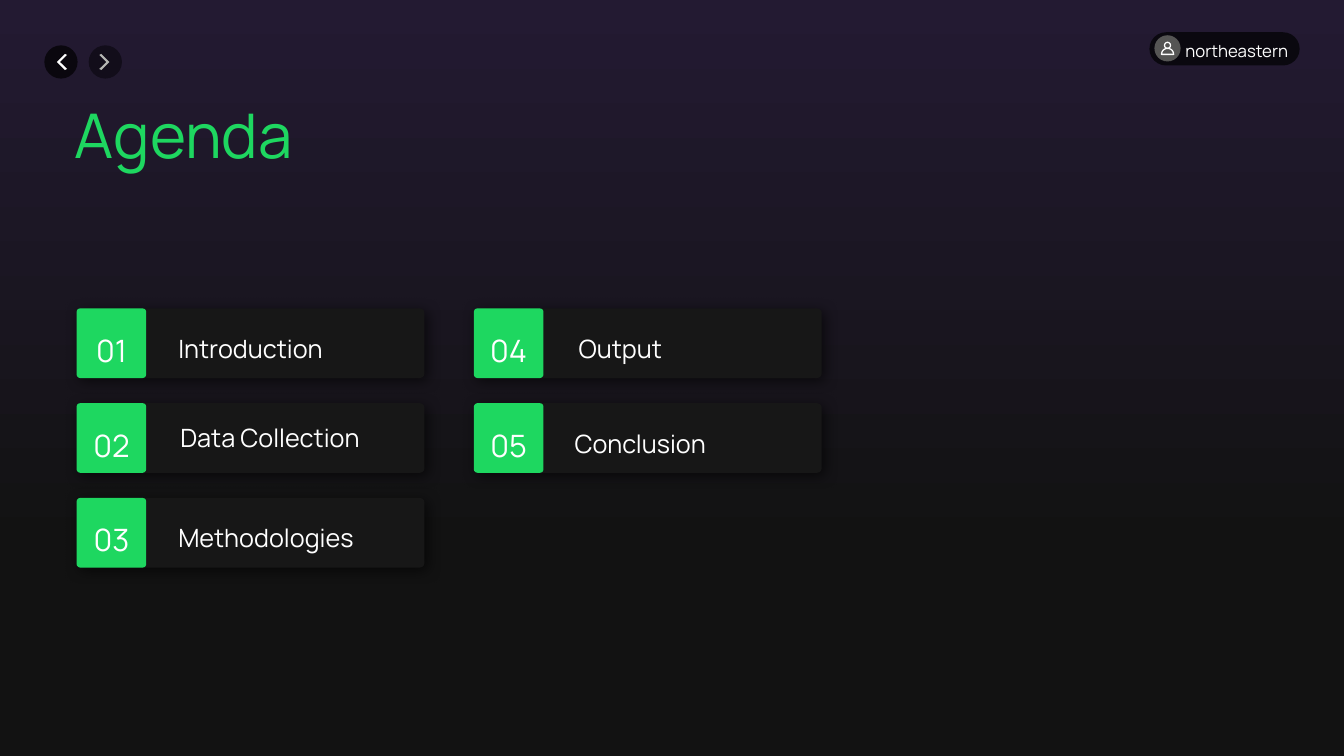
from dataclasses import dataclass
from math import cos, pi, sin

from lxml.etree import SubElement
from pptx import Presentation
from pptx.dml.color import RGBColor
from pptx.enum.shapes import MSO_SHAPE as Preset
from pptx.enum.text import MSO_ANCHOR as Anchor, MSO_AUTO_SIZE as AutoSize, PP_ALIGN as Align
from pptx.oxml.ns import qn
from pptx.util import Inches, Pt


@dataclass(frozen=True)
class Theme:
    font: str = "Manrope"
    background_top: str = "231A32"
    background_bottom: str = "121212"
    accent: str = "1ED760"
    card: str = "171717"
    pill: str = "0A080F"
    avatar: str = "555554"
    back_button: str = "0A070E"
    next_button: str = "120D1A"
    next_arrow: str = "B4B5B2"
    white: str = "FFFFFF"
    title_size: int = 44
    number_size: int = 22
    label_size: int = 18
    account_size: int = 12


THEME = Theme()

CARD_WIDTH, CARD_HEIGHT = 3.45, 0.69
COLUMN_STEP, ROW_STEP = 3.94, 0.94
ROWS = 3
# Each entry: label, and its offset from the card's left and top
AGENDA = [
    ("Introduction", 0.91, 0.2),
    ("Data Collection", 0.93, 0.14),
    ("Methodologies", 0.91, 0.19),
    ("Output", 0.94, 0.2),
    ("Conclusion", 0.9, 0.2),
]


def rgb(color):
    return RGBColor.from_string(color)


def fill_plain(shape, color):
    shape.shadow.inherit = False
    shape.fill.solid()
    shape.fill.fore_color.rgb = rgb(color)
    shape.line.fill.background()


def outline_only(shape, color, width):
    shape.shadow.inherit = False
    shape.fill.background()
    shape.line.color.rgb = rgb(color)
    shape.line.width = Pt(width)


def add_preset(shapes, preset, box, color, rounding=None):
    shape = shapes.add_shape(preset, *map(Inches, box))
    if rounding is not None:
        shape.adjustments[0] = rounding
    fill_plain(shape, color)
    return shape


def add_outline(shapes, points):
    """Add a closed polygon through points given in inches."""
    start, *others = [(Inches(x), Inches(y)) for x, y in points]
    builder = shapes.build_freeform(*start)
    builder.add_line_segments(others, close=True)
    return builder.convert_to_shape()


def write_text(shape, text, size, color, align=Align.LEFT):
    frame = shape.text_frame
    frame.text = text
    frame_format = {"word_wrap": True, "auto_size": AutoSize.NONE, "vertical_anchor": Anchor.TOP}
    for name, value in frame_format.items():
        setattr(frame, name, value)
    paragraph = frame.paragraphs[0]
    paragraph.alignment = align
    font = paragraph.runs[0].font
    for name, value in {"name": THEME.font, "size": Pt(size)}.items():
        setattr(font, name, value)
    font.color.rgb = rgb(color)


def add_label(shapes, box, text, size, align=Align.LEFT):
    write_text(shapes.add_textbox(*map(Inches, box)), text, size, THEME.white, align)


def add_soft_shadow(shape):
    effects = shape.element.spPr.find(qn("a:effectLst"))
    shadow = SubElement(effects, qn("a:outerShdw"), blurRad=str(Pt(10)), dist=str(Pt(3)),
                        dir=str(45 * 60000), algn="tl", rotWithShape="0")
    color = SubElement(shadow, qn("a:srgbClr"), val="000000")
    SubElement(color, qn("a:alpha"), val="60000")


def paint_background(slide):
    fill = slide.background.fill
    fill.gradient()
    fill.gradient_angle = 270
    stops = [(0, THEME.background_top), (0.73, THEME.background_bottom)]
    for stop, (position, color) in zip(fill.gradient_stops, stops):
        stop.position = position
        stop.color.rgb = rgb(color)


def place_title(slide, text, left, top, width, height):
    title = slide.shapes.title
    box = {"left": left, "top": top, "width": width, "height": height}
    for name, value in box.items():
        setattr(title, name, Inches(value))
    write_text(title, text, THEME.title_size, THEME.accent)


def add_arrow_button(slide, left, top, direction, color, arrow_color):
    """Add a round button; direction is -1 for back and 1 for next."""
    size = 0.33
    shapes = slide.shapes.add_group_shape().shapes
    add_preset(shapes, Preset.OVAL, (left, top, size, size), color)
    center_x, center_y = left + size / 2 - 0.01 * direction, top + size / 2
    chevron = [(-0.03, 0.08), (0.05, 0), (-0.03, -0.08), (-0.05, -0.07), (0.02, 0), (-0.05, 0.07)]
    points = [(center_x + direction * x, center_y + y) for x, y in chevron]
    fill_plain(add_outline(shapes, points), arrow_color)


def add_account_pill(slide, left, top, name):
    shapes = slide.shapes
    add_preset(shapes, Preset.ROUNDED_RECTANGLE, (left, top, 1.49, 0.33), THEME.pill, 0.5)
    add_label(shapes, (left + 0.26, top + 0.04, 1.3, 0.3), name, THEME.account_size)
    add_preset(shapes, Preset.OVAL, (left + 0.05, top + 0.03, 0.26, 0.26), THEME.avatar)

    center, base, radius = left + 0.18, top + 0.22, 0.06
    head_box = (center - 0.03, base - 0.12, 0.06, 0.06)
    head = shapes.add_shape(Preset.OVAL, *map(Inches, head_box))
    angles = [pi * step / 12 for step in range(13)]
    shoulders = [(center + radius * cos(angle), base - radius * sin(angle)) for angle in angles]
    for part in (head, add_outline(shapes, shoulders)):
        outline_only(part, THEME.white, 0.9)


def add_agenda_card(slide, left, top, number, label, label_x, label_y):
    shapes = slide.shapes
    card_box = (left, top, CARD_WIDTH, CARD_HEIGHT)
    card = add_preset(shapes, Preset.ROUNDED_RECTANGLE, card_box, THEME.card, 0.066)
    add_soft_shadow(card)
    tile_box = (left, top, CARD_HEIGHT, CARD_HEIGHT)
    add_preset(shapes, Preset.ROUNDED_RECTANGLE, tile_box, THEME.accent, 0.05)
    number_box = (left, top + 0.18, CARD_HEIGHT, 0.47)
    add_label(shapes, number_box, f"{number:02}", THEME.number_size, Align.CENTER)
    label_box = (left + label_x, top + label_y, CARD_WIDTH - label_x, 0.4)
    add_label(shapes, label_box, label, THEME.label_size)


def add_agenda(slide, left, top):
    for index, entry in enumerate(AGENDA):
        column, row = divmod(index, ROWS)
        add_agenda_card(slide, left + column * COLUMN_STEP, top + row * ROW_STEP,
                        index + 1, *entry)


def main():
    presentation = Presentation()
    presentation.slide_width = Inches(13.33)
    presentation.slide_height = Inches(7.5)
    slide = presentation.slides.add_slide(presentation.slide_layouts[5])
    paint_background(slide)
    add_account_pill(slide, 11.4, 0.32, "northeastern")
    place_title(slide, "Agenda", 0.64, 0.91, 2.67, 0.84)
    add_arrow_button(slide, 0.44, 0.45, -1, THEME.back_button, THEME.white)
    add_arrow_button(slide, 0.88, 0.45, 1, THEME.next_button, THEME.next_arrow)
    add_agenda(slide, 0.76, 3.06)
    presentation.save("out.pptx")


if __name__ == "__main__":
    main()
